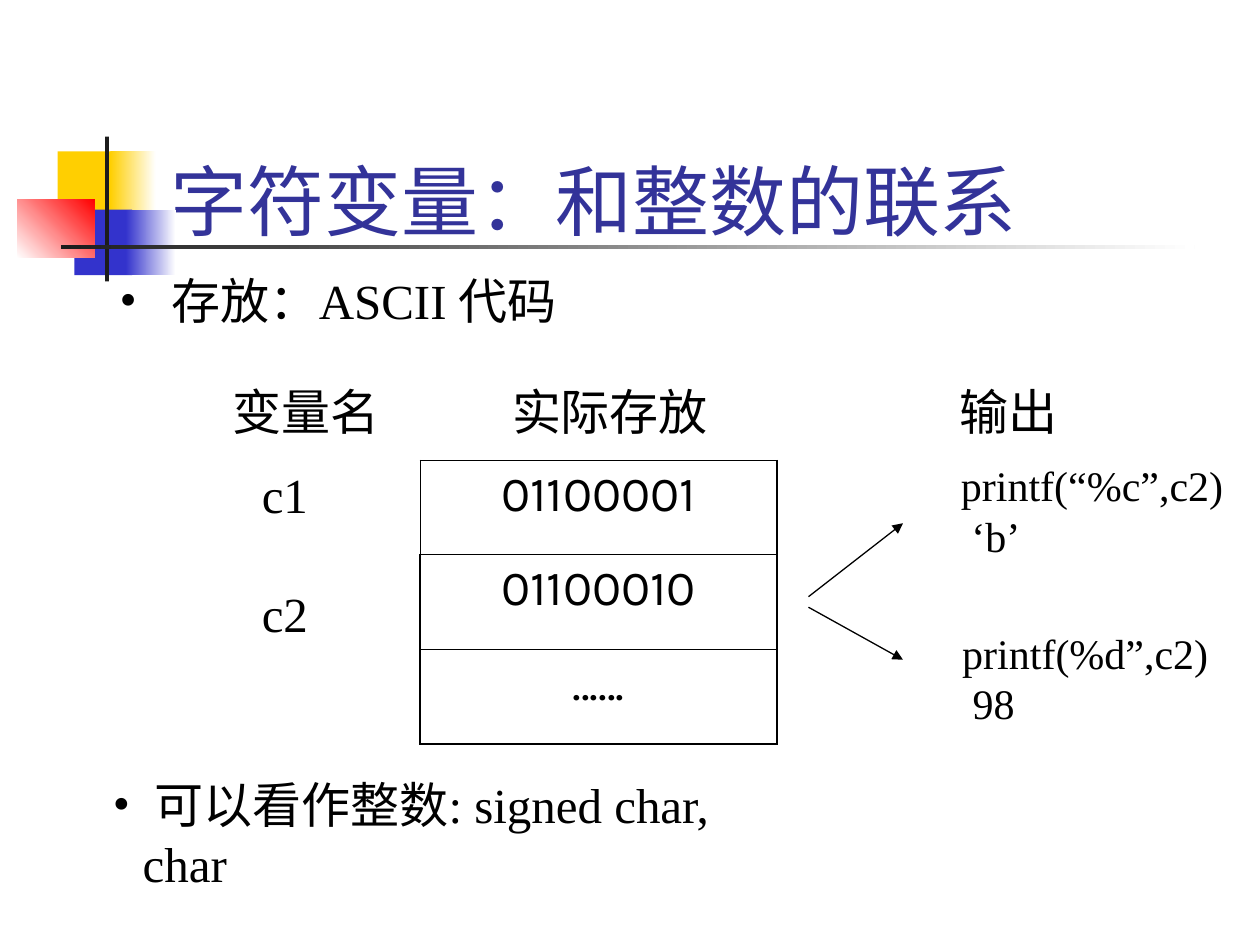
from lxml.etree import SubElement
from pptx import Presentation
from pptx.dml.color import RGBColor as RGB
from pptx.enum.shapes import MSO_CONNECTOR as LINK, MSO_SHAPE as SHAPE
from pptx.enum.text import MSO_ANCHOR as ANCHOR, PP_ALIGN as ALIGN
from pptx.oxml.ns import qn
from pptx.util import Pt

THEME = {
    "ink": "000000", "title": "333399", "white": "FFFFFF", "bar": "1C1C1C",
    "gold": "FFCF01", "blue": "3333CC", "red": "FF0000",
    "serif": "Times New Roman", "sans": "Karla",
    "head": 44, "body": 28, "code": 24,
}

TITLE = "字符变量：和整数的联系"
# left, top, width, height, start colour, end colour, angle
DECOR = [
    (33, 86.5, 35, 37.5, "gold", None, 0),
    (63, 86.5, 26, 37.5, "gold", "white", 0),
    (42.5, 119.75, 33, 37.5, "blue", None, 0),
    (72, 119.75, 28.5, 37.5, "blue", "white", 0),
    (9.75, 113.75, 44.25, 33.5, "white", "red", 45),
    (60, 78, 2.25, 82.75, "bar", None, 0),
    (34.75, 140, 648, 2.5, "bar", "white", 0),
]
# left, top, width, gap after bullet, text
POINTS = [
    (61.2, 151, 270, 13, "存放：ASCII 代码"),
    (57.5, 439.25, 404, 7, "可以看作整数: signed char, char"),
]
# left, top, width, size, space between, lines
LABELS = [
    (126, 214.5, 110, "body", 0, ["变量名"]),
    (285.5, 214.5, 140, "body", 0, ["实际存放"]),
    (541.5, 214.5, 80, "body", 0, ["输出"]),
    (142.5, 262, 60, "body", 34, ["c1", "c2"]),
    (542, 259.25, 176, "code", 0, ["printf(“%c”,c2)", " ‘b’"]),
    (542.75, 355, 176, "code", 0, ["printf(%d”,c2)", " 98"]),
]
BYTES = ["01100001", "01100010", "......"]
GRID = (240, 263, 204, 54)  # left, top, width, row height
THIN, THICK = 0.45, 1.08
ARROWS = [((462, 341), (516, 299)), ((462, 347), (516, 377))]


def tint(name):
    return RGB.from_string(THEME[name])


def style(para, size="body", face="serif", color="ink"):
    look = {"size": Pt(THEME[size]), "name": THEME[face], "bold": False}
    for key, val in look.items():
        setattr(para.font, key, val)
    para.font.color.rgb = tint(color)


def frame(slide, left, top, width, height):
    box = slide.shapes.add_textbox(Pt(left), Pt(top), Pt(width), Pt(height))
    box.text_frame.word_wrap = True
    return box.text_frame


def decor(slide, left, top, width, height, start, end, angle):
    part = slide.shapes.add_shape(
        SHAPE.RECTANGLE, Pt(left), Pt(top), Pt(width), Pt(height))
    part.shadow.inherit = False
    part.line.fill.background()
    if end is None:
        part.fill.solid()
        part.fill.fore_color.rgb = tint(start)
        return
    part.fill.gradient()
    part.fill.gradient_angle = angle
    for stop, name, pos in zip(part.fill.gradient_stops, (start, end), (0, 1)):
        stop.color.rgb = tint(name)
        stop.position = pos


def point(slide, left, top, width, gap, text):
    """Bulleted line whose first row starts a gap past the hanging indent."""
    hang = 17
    para = frame(slide, left, top, width, 41).paragraphs[0]
    para.text = "\t" + text
    props = para._p.get_or_add_pPr()
    props.set("marL", str(Pt(hang)))
    props.set("indent", str(-Pt(hang)))
    SubElement(props, qn("a:buFont"), typeface=THEME["serif"])
    SubElement(props, qn("a:buChar"), char="•")
    tabs = SubElement(props, qn("a:tabLst"))
    SubElement(tabs, qn("a:tab"), pos=str(Pt(hang + gap)), algn="l")
    style(para)


def label(slide, left, top, width, size, gap, lines):
    text = frame(slide, left, top, width, 41 * len(lines))
    text.text = "\n".join(lines)
    for num, para in enumerate(text.paragraphs):
        style(para, size)
        if num and gap:
            para.space_before = Pt(gap)


def border(cell, widths):
    props = cell._tc.get_or_add_tcPr()
    for num, (side, width) in enumerate(widths.items()):
        line = props.makeelement(qn("a:" + side), {"w": str(Pt(width))})
        fill = SubElement(line, qn("a:solidFill"))
        SubElement(fill, qn("a:srgbClr"), val=THEME["ink"])
        props.insert(num, line)


def memory(slide):
    left, top, width, step = GRID
    count = len(BYTES)
    table = slide.shapes.add_table(
        count, 1, Pt(left), Pt(top), Pt(width), Pt(step * count)).table
    table.first_row = table.horz_banding = False
    for row, text in enumerate(BYTES):
        table.rows[row].height = Pt(step)
        cell = table.cell(row, 0)
        cell.text = text
        cell.fill.background()
        para = cell.text_frame.paragraphs[0]
        para.alignment = ALIGN.CENTER
        style(para, face="sans")
        border(cell, {
            "lnL": THICK if row else THIN,
            "lnR": THICK,
            "lnT": THIN,
            "lnB": THICK if row == count - 1 else THIN,
        })


def arrow(slide, start, end):
    line = slide.shapes.add_connector(
        LINK.STRAIGHT, *(Pt(val) for val in start + end))
    line.line.color.rgb = tint("ink")
    line.line.width = Pt(0.75)
    SubElement(line.line._get_or_add_ln(), qn("a:tailEnd"), type="triangle")
    SubElement(line._element.spPr, qn("a:effectLst"))


def heading(slide):
    title = slide.shapes.title
    place = {"left": 90, "top": 84.25, "width": 612, "height": 59.75}
    for key, val in place.items():
        setattr(title, key, Pt(val))
    text = title.text_frame
    text.text = TITLE
    text.vertical_anchor = ANCHOR.BOTTOM
    text.paragraphs[0].alignment = ALIGN.LEFT
    style(text.paragraphs[0], "head", "sans", "title")


def main():
    deck = Presentation()
    deck.slide_width, deck.slide_height = Pt(720), Pt(540)
    slide = deck.slides.add_slide(deck.slide_layouts[5])
    for draw, items in ((decor, DECOR), (point, POINTS), (label, LABELS),
                        (arrow, ARROWS)):
        for item in items:
            draw(slide, *item)
    memory(slide)
    heading(slide)
    deck.save("out.pptx")


if __name__ == "__main__":
    main()
